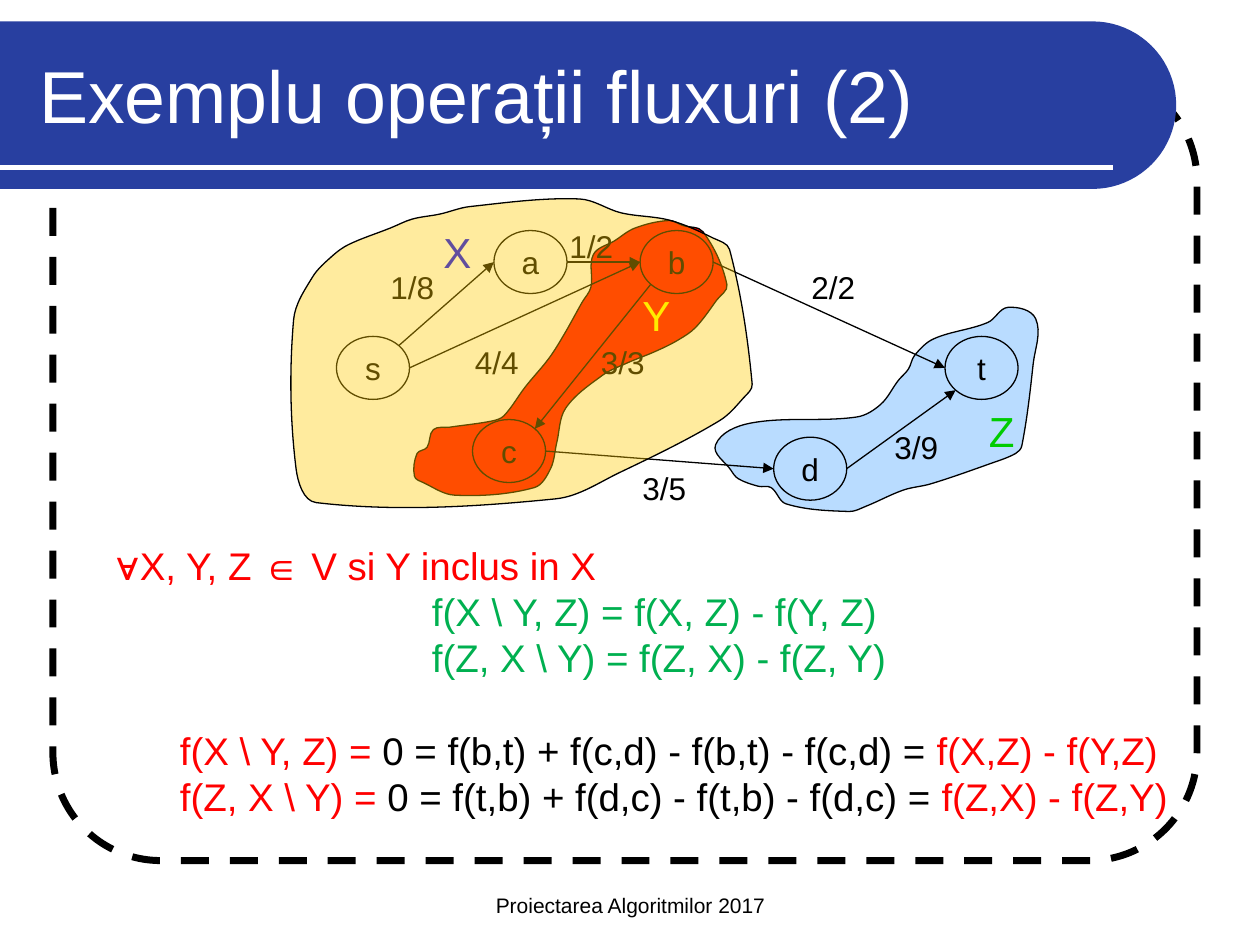
from math import cos, hypot, pi, sin, sqrt

from lxml.etree import SubElement
from pptx import Presentation
from pptx.dml.color import RGBColor
from pptx.enum.dml import MSO_LINE
from pptx.enum.shapes import MSO_CONNECTOR, MSO_SHAPE
from pptx.enum.text import MSO_ANCHOR as ANCHOR, PP_ALIGN as ALIGN
from pptx.oxml.ns import qn
from pptx.util import Inches, Pt

FONT = "Arial"
BLACK, WHITE, RED, GREEN = "000000", "FFFFFF", "FF0000", "00B050"
TITLE = "Exemplu operații fluxuri (2)"
FOOTER = "Proiectarea Algoritmilor 2017"

# Outline points of the vertex sets, joined by smooth curves
SET_Y = [(3.31, 3.6), (3.29, 3.78), (3.36, 3.83), (3.61, 3.93), (4.24, 3.87), (4.37, 3.72),
         (4.42, 3.51), (4.49, 3.24), (4.78, 2.98), (4.98, 2.88), (5.2, 2.79), (5.38, 2.7),
         (5.52, 2.6), (5.69, 2.38), (5.77, 2.26), (5.58, 1.84), (5.42, 1.79), (5.31, 1.75),
         (5.04, 1.81), (4.88, 1.91), (4.71, 2.02), (4.69, 2.28), (4.62, 2.4), (4.48, 2.65),
         (4.36, 2.84), (4.17, 3.07), (4, 3.3), (3.91, 3.34), (3.57, 3.39), (3.44, 3.41),
         (3.39, 3.55)]
SET_Z = [(5.95, 3.36), (6.8, 3.31), (6.99, 3.21), (7.13, 3.02), (7.21, 2.93), (7.26, 2.82),
         (7.41, 2.69), (7.84, 2.56), (8, 2.44), (8.22, 2.53), (8.2, 2.89), (8.11, 3.54),
         (8.06, 3.6), (7.86, 3.68), (7.39, 3.84), (7.17, 3.89), (6.87, 4.02), (6.74, 4.06),
         (6.24, 4), (6.12, 3.87), (6.02, 3.86), (5.86, 3.8), (5.8, 3.73), (5.68, 3.53)]
SET_X = [(2.51, 3.99), (4.41, 3.96), (4.92, 3.75), (5.71, 3.34), (5.9, 3.16), (5.97, 3.05),
         (5.79, 1.98), (5.66, 1.89), (5.32, 1.75), (4.93, 1.69), (4.6, 1.58), (3.73, 1.64),
         (3.49, 1.7), (3.27, 1.74), (3.1, 1.81), (2.77, 1.94), (2.64, 2.03), (2.48, 2.2),
         (2.33, 2.54), (2.35, 3.72)]

NODE_WIDTH, NODE_HEIGHT = 0.58, 0.5
NODES = {"s": (2.67, 2.67), "a": (3.92, 1.83), "b": (5.08, 1.83),
         "d": (6.14, 3.47), "t": (7.5, 2.67), "c": (3.75, 3.33)}
DIAGONAL = sqrt(0.5)
SITES = {"left": (-1, 0), "right": (1, 0),
         "upper right": (DIAGONAL, -DIAGONAL), "lower left": (-DIAGONAL, DIAGONAL)}
EDGES = [("s", "upper right", "a", "left"), ("s", "right", "b", "left"),
         ("a", "right", "b", "left"), ("b", "lower left", "c", "upper right"),
         ("c", "right", "d", "left"), ("d", "right", "t", "lower left"),
         ("b", "right", "t", "left")]

# text, left, top, width
FLOWS = [("1/8", 3, 2.08, 0.55), ("4/4", 3.67, 2.67, 0.55), ("1/2", 4.42, 1.75, 0.83),
         ("3/3", 4.67, 2.67, 0.55), ("2/2", 6.34, 2.08, 0.55), ("3/5", 5, 3.67, 0.55),
         ("3/9", 7, 3.35, 0.55)]
# text, left, top, width, colour
SET_NAMES = [("Y", 5, 2.25, 0.42, "FFFF00"), ("X", 3.42, 1.75, 0.42, "0000FF"),
             ("Z", 7.75, 3.17, 0.35, "00CC00")]

# indent in inches, space before in points, runs of text and colour
FORMULAS = [
    (0.5, 0, [("∀X, Y, Z ∈ V si Y inclus in X", RED)]),
    (3, 0, [("f(X \\ Y, Z) = f(X, Z) - f(Y, Z)", GREEN)]),
    (3, 0, [("f(Z, X \\ Y) = f(Z, X) - f(Z, Y)", GREEN)]),
    (1, 26.5, [("f(X \\ Y, Z) = ", RED),
               ("0 = f(b,t) + f(c,d) - f(b,t) - f(c,d) = ", BLACK),
               ("f(X,Z) - f(Y,Z)", RED)]),
    (1, 0, [("f(Z, X \\ Y) = ", RED),
            ("0 = f(t,b) + f(d,c) - f(t,b) - f(d,c) = ", BLACK),
            ("f(Z,X) - f(Z,Y)", RED)]),
]


def rgb(colour):
    return RGBColor.from_string(colour)


def style(shape, fill=None, line=None, width=0.75, opacity=100):
    shape.shadow.inherit = False
    if fill:
        shape.fill.solid()
        shape.fill.fore_color.rgb = rgb(fill)
        if opacity < 100:
            colour = shape.fill._xPr.find(f"{qn('a:solidFill')}/{qn('a:srgbClr')}")
            SubElement(colour, qn("a:alpha"), val=str(opacity * 1000))
    else:
        shape.fill.background()
    if line:
        shape.line.color.rgb = rgb(line)
        shape.line.width = Pt(width)
    else:
        shape.line.fill.background()


def format_frame(frame, **values):
    for name, value in values.items():
        setattr(frame, name, value)


def add_run(paragraph, text, size, colour):
    run = paragraph.add_run()
    run.text = text
    for name, value in {"name": FONT, "size": Pt(size)}.items():
        setattr(run.font, name, value)
    run.font.color.rgb = rgb(colour)


def add_text(text, box, size, colour=BLACK, align=ALIGN.LEFT, **frame_values):
    text_box = slide.shapes.add_textbox(*map(Inches, box))
    format_frame(text_box.text_frame, **frame_values)
    paragraph = text_box.text_frame.paragraphs[0]
    paragraph.alignment = align
    add_run(paragraph, text, size, colour)


def add_outline(points):
    corners = [(Inches(x), Inches(y)) for x, y in points]
    builder = slide.shapes.build_freeform(*corners[0])
    builder.add_line_segments(corners[1:], close=True)
    return builder.convert_to_shape()


def add_blob(points, **look):
    """Draw a closed smooth curve: an outline of control points, taken three by three."""
    count = len(points)
    tangents = []
    for index in range(count):
        (x0, y0), (x1, y1) = points[index - 1], points[(index + 1) % count]
        length = hypot(x1 - x0, y1 - y0)
        tangents.append(((x1 - x0) / length, (y1 - y0) / length))
    outline = [points[0]]
    for index, (x0, y0) in enumerate(points):
        following = (index + 1) % count
        x1, y1 = points[following]
        reach = hypot(x1 - x0, y1 - y0) / 3
        (u0, v0), (u1, v1) = tangents[index], tangents[following]
        outline += [(x0 + u0 * reach, y0 + v0 * reach),
                    (x1 - u1 * reach, y1 - v1 * reach), (x1, y1)]
    shape = add_outline(outline)
    segments = list(shape.element.iter(qn("a:lnTo")))
    for first, second, third in zip(segments[::3], segments[1::3], segments[2::3]):
        first.tag = qn("a:cubicBezTo")
        for segment in (second, third):
            first.append(segment[0])
            segment.getparent().remove(segment)
    style(shape, line=BLACK, **look)


def add_line(start, end, colour, width, arrow=False):
    line = slide.shapes.add_connector(MSO_CONNECTOR.STRAIGHT, *map(Inches, start + end))
    line.line.color.rgb = rgb(colour)
    line.line.width = Pt(width)
    if arrow:
        SubElement(line.line._get_or_add_ln(), qn("a:tailEnd"), type="triangle")
    SubElement(line.element.spPr, qn("a:effectLst"))
    return line


def node_site(node, site):
    (left, top), (across, down) = NODES[node], SITES[site]
    return (left + NODE_WIDTH / 2 * (1 + across), top + NODE_HEIGHT / 2 * (1 + down))


presentation = Presentation()
presentation.slide_width, presentation.slide_height = Inches(10), Inches(7.5)
slide = presentation.slides.add_slide(presentation.slide_layouts[5])

# Frame, title band and footer
frame = slide.shapes.add_shape(MSO_SHAPE.ROUNDED_RECTANGLE,
                               *map(Inches, (0.42, 0.58, 9.08, 6.25)))
frame.adjustments[0] = 0.137
style(frame, line=BLACK, width=4)
frame.line.dash_style = MSO_LINE.DASH
radius, steps = 0.665, 40
angles = [pi * step / steps - pi / 2 for step in range(steps + 1)]
arc = [(8.67 + radius * cos(angle), 0.835 + radius * sin(angle)) for angle in angles]
style(add_outline([(0, 0.17), *arc, (0, 1.5)]), fill="283FA0")
underline = add_line((0, 1.33), (8.83, 1.33), WHITE, 3)

title = slide.shapes.title
underline.element.addnext(title.element)
format_frame(title, left=Inches(0.21), top=Inches(0.25), width=Inches(8.77), height=Inches(1))
title.text_frame.vertical_anchor = ANCHOR.MIDDLE
title.text_frame.paragraphs[0].alignment = ALIGN.LEFT
add_run(title.text_frame.paragraphs[0], TITLE, 42, WHITE)
add_text(FOOTER, (3.42, 6.83, 3.17, 0.5), 12, align=ALIGN.CENTER,
         word_wrap=True, vertical_anchor=ANCHOR.BOTTOM)

# Flow network
add_blob(SET_Y, fill=RED)
add_blob(SET_Z, fill="99CCFF", opacity=68)
for name, (left, top) in NODES.items():
    node = slide.shapes.add_shape(MSO_SHAPE.OVAL,
                                  *map(Inches, (left, top, NODE_WIDTH, NODE_HEIGHT)))
    style(node, line=BLACK)
    format_frame(node.text_frame, word_wrap=False, vertical_anchor=ANCHOR.MIDDLE,
                 margin_left=0, margin_right=0, margin_top=0, margin_bottom=0)
    node.text_frame.paragraphs[0].alignment = ALIGN.CENTER
    add_run(node.text_frame.paragraphs[0], name, 18, BLACK)
for origin, leaving, target, entering in EDGES:
    add_line(node_site(origin, leaving), node_site(target, entering), BLACK, 0.75, arrow=True)
for text, left, top, width in FLOWS:
    add_text(text, (left, top, width, 0.4), 18, word_wrap=False)
for text, left, top, width, colour in SET_NAMES:
    add_text(text, (left, top, width, 0.5), 24, colour, word_wrap=False)
add_blob(SET_X, fill="FFCC00", opacity=38)

# Formulas
formulas = slide.shapes.add_textbox(*map(Inches, (0.33, 4.25, 9.17, 2.5))).text_frame
formulas.word_wrap = True
for number, (indent, space, runs) in enumerate(FORMULAS):
    paragraph = formulas.add_paragraph() if number else formulas.paragraphs[0]
    paragraph.space_before = Pt(space)
    paragraph._p.get_or_add_pPr().set("marL", str(Inches(indent)))
    for text, colour in runs:
        add_run(paragraph, text, 22, colour)

presentation.save("out.pptx")
